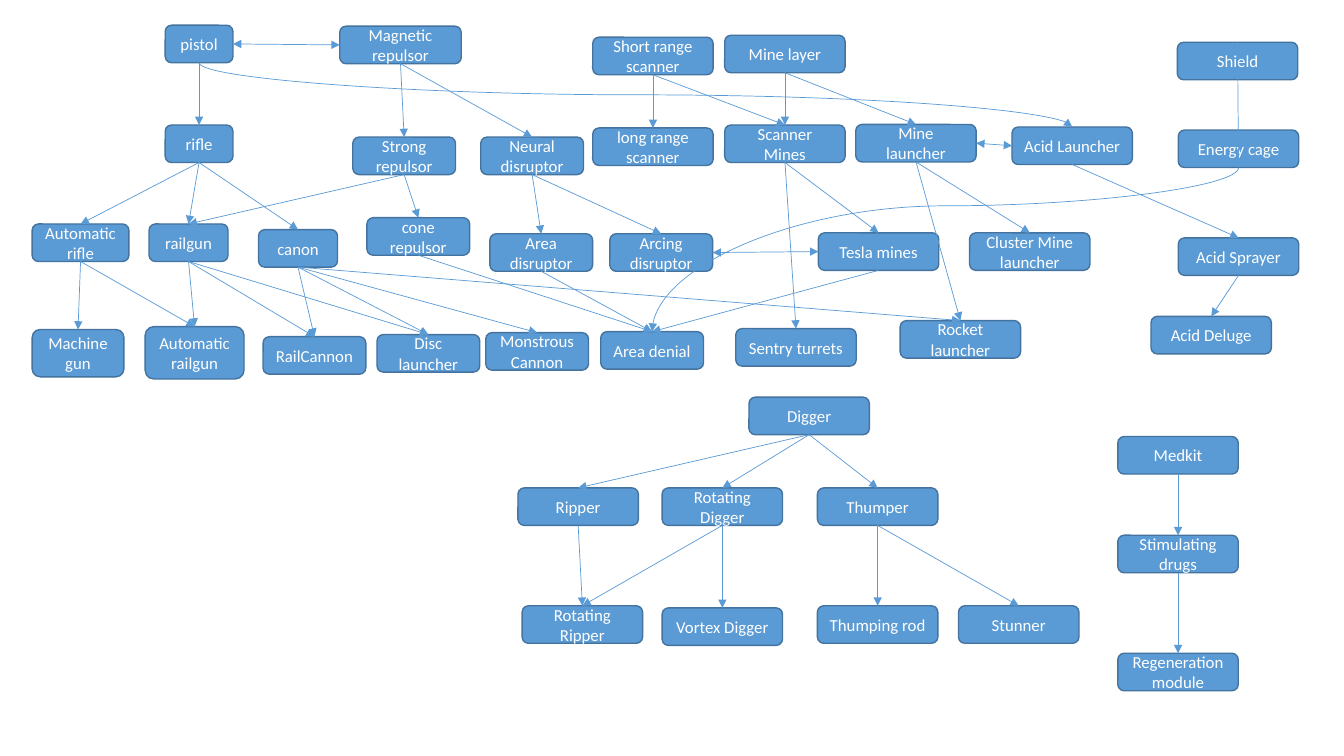
"""Draw the weapon and tool upgrade trees as boxes joined by arrows."""
from lxml import etree
from pptx import Presentation
from pptx.dml.color import RGBColor
from pptx.enum.shapes import MSO_CONNECTOR, MSO_SHAPE
from pptx.enum.text import MSO_ANCHOR, PP_ALIGN
from pptx.oxml.ns import qn
from pptx.util import Pt

ROUNDED = MSO_SHAPE.ROUNDED_RECTANGLE
STRAIGHT, CURVED = MSO_CONNECTOR.STRAIGHT, MSO_CONNECTOR.CURVE
MIDDLE, CENTER = MSO_ANCHOR.MIDDLE, PP_ALIGN.CENTER
TOP, LEFT, BOTTOM, RIGHT = range(4)

THEME = {
    "box": RGBColor(0x5B, 0x9B, 0xD5),
    "outline": RGBColor(0x43, 0x73, 0x9E),
    "outline_width": Pt(1),
    "arrow_width": Pt(0.5),
    "font": {"name": "Calibri", "size": Pt(12)},
    "text": RGBColor(0xFF, 0xFF, 0xFF),
}

UPGRADES_BY_SIZE = {
    (48.4, 26.8): {"pistol": (118, 18), "rifle": (118, 89.3)},
    (56.4, 26.8): {"railgun": (106.5, 160), "canon": (184.7, 164)},
    (70.6, 37.4): {"Automatic railgun": (103.7, 233.3)},
    (69.1, 26.8): {"Automatic rifle": (23, 160)},
    (65.5, 33.8): {"Machine gun": (23, 235.4)},
    (86.8, 26.8): {"Magnetic repulsor": (242.7, 18.7)},
    (73.4, 26.8): {
        "Strong repulsor": (252, 97.9),
        "Neural disruptor": (343.4, 97.9),
        "cone repulsor": (262.1, 155.5),
        "Area\ndisruptor": (349.9, 167),
        "Arcing\ndisruptor": (435.6, 167),
        "RailCannon": (187.9, 240.5),
        "Disc launcher": (269.3, 239),
        "Monstrous Cannon": (347, 237.6),
        "Area denial": (429.1, 236.9),
    },
    (86, 26.8): {
        "Short range scanner": (423.4, 26.6),
        "long range scanner": (423.4, 91.4),
        "Mine layer": (517.7, 25.2),
        "Scanner Mines": (517.7, 89.3),
        "Mine launcher": (611.3, 88.9),
        "Acid Launcher": (722.9, 90.7),
        "Tesla mines": (584.6, 166.3),
        "Cluster Mine launcher": (692.6, 166.3),
        "Sentry turrets": (525.6, 234.7),
        "Rocket launcher": (643, 229),
        "Acid Sprayer": (841.7, 169.9),
        "Acid Deluge": (822.2, 226),
        "Shield": (841, 30.2),
        "Energy cage": (841.7, 92.9),
        "Medkit": (798.5, 311.8),
        "Stimulating drugs": (798.5, 382.3),
        "Regeneration module": (798.5, 466.6),
        "Digger": (535, 283.7),
        "Ripper": (370, 348.5),
        "Rotating Digger": (473, 348.5),
        "Thumper": (583.9, 348.5),
        "Rotating Ripper": (373, 432.7),
        "Vortex Digger": (473, 434.2),
        "Thumping rod": (583.9, 432.7),
        "Stunner": (684.7, 432.7),
    },
}

UNLOCKS = {
    "pistol": ["rifle"],
    "rifle": ["Automatic rifle", "railgun", "canon"],
    "Automatic rifle": ["Machine gun", "Automatic railgun"],
    "railgun": ["Automatic railgun", "RailCannon", "Disc launcher"],
    "canon": ["RailCannon", "Disc launcher", "Monstrous Cannon", "Rocket launcher"],
    "Magnetic repulsor": ["Strong repulsor", "Neural disruptor"],
    "Strong repulsor": ["railgun", "cone repulsor"],
    "Neural disruptor": ["Area\ndisruptor", "Arcing\ndisruptor"],
    "cone repulsor": ["Area denial"],
    "Area\ndisruptor": ["Area denial"],
    "Short range scanner": ["long range scanner", "Scanner Mines"],
    "Mine layer": ["Scanner Mines", "Mine launcher"],
    "Scanner Mines": ["Tesla mines", "Sentry turrets"],
    "Mine launcher": ["Rocket launcher", "Cluster Mine launcher"],
    "Tesla mines": ["Area denial"],
    "Acid Launcher": ["Acid Sprayer"],
    "Acid Sprayer": ["Acid Deluge"],
    "Medkit": ["Stimulating drugs"],
    "Stimulating drugs": ["Regeneration module"],
    "Digger": ["Ripper", "Rotating Digger", "Thumper"],
    "Ripper": ["Rotating Ripper"],
    "Rotating Digger": ["Rotating Ripper", "Vortex Digger"],
    "Thumper": ["Thumping rod", "Stunner"],
}

COMBINATIONS = [
    ("pistol", "Magnetic repulsor"),
    ("Arcing\ndisruptor", "Tesla mines"),
    ("Mine launcher", "Acid Launcher"),
]

LONG_CURVES = [("pistol", "Acid Launcher", 50000), ("Energy cage", "Area denial", 23300)]

deck = Presentation()
deck.slide_width, deck.slide_height = Pt(960), Pt(540)
slide = deck.slides.add_slide(deck.slide_layouts[6])
upgrades = {}


def link(source, source_side, target, target_side, kind=STRAIGHT, both_ways=False):
    """Join two upgrades with an arrow and return it."""
    arrow = slide.shapes.add_connector(kind, 0, 0, 0, 0)
    arrow.begin_connect(upgrades[source], source_side)
    arrow.end_connect(upgrades[target], target_side)
    arrow.line.color.rgb = THEME["box"]
    arrow.line.width = THEME["arrow_width"]
    properties = arrow._element.spPr
    outline = properties.find(qn("a:ln"))
    for end in ["a:headEnd", "a:tailEnd"] if both_ways else ["a:tailEnd"]:
        etree.SubElement(outline, qn(end), type="triangle")
    etree.SubElement(properties, qn("a:effectLst"))
    return arrow


for size, places in UPGRADES_BY_SIZE.items():
    for label, place in places.items():
        upgrade = slide.shapes.add_shape(ROUNDED, *map(Pt, place + size))
        upgrade.shadow.inherit = False
        upgrade.fill.solid()
        upgrade.fill.fore_color.rgb = THEME["box"]
        upgrade.line.color.rgb = THEME["outline"]
        upgrade.line.width = THEME["outline_width"]
        upgrade.text_frame.text = label
        upgrade.text_frame.vertical_anchor = MIDDLE
        for paragraph in upgrade.text_frame.paragraphs:
            paragraph.alignment = CENTER
            for attribute, value in THEME["font"].items():
                setattr(paragraph.font, attribute, value)
            paragraph.font.color.rgb = THEME["text"]
        upgrades[label] = upgrade

for source, targets in UNLOCKS.items():
    for target in targets:
        link(source, BOTTOM, target, TOP)

link("Shield", TOP, "Energy cage", BOTTOM)

for source, target in COMBINATIONS:
    link(source, RIGHT, target, LEFT, both_ways=True)

for source, target, bend in LONG_CURVES:
    curve = link(source, BOTTOM, target, TOP, CURVED)
    start_x, start_y, end_x, end_y = curve.begin_x, curve.begin_y, curve.end_x, curve.end_y
    span, drop = abs(end_x - start_x), end_y - start_y
    placement = {
        "left": (start_x + end_x - drop) // 2,
        "top": (start_y + end_y - span) // 2,
        "width": drop,
        "height": span,
    }
    for attribute, value in placement.items():
        setattr(curve, attribute, value)
    rightward = end_x > start_x
    frame = curve._element.spPr.find(qn("a:xfrm"))
    frame.set("rot", str((270 if rightward else 90) * 60000))
    frame.set("flipH", str(int(rightward)))
    guides = curve._element.spPr.find(qn("a:prstGeom")).find(qn("a:avLst"))
    etree.SubElement(guides, qn("a:gd"), name="adj1", fmla=f"val {bend}")

deck.save("out.pptx")
